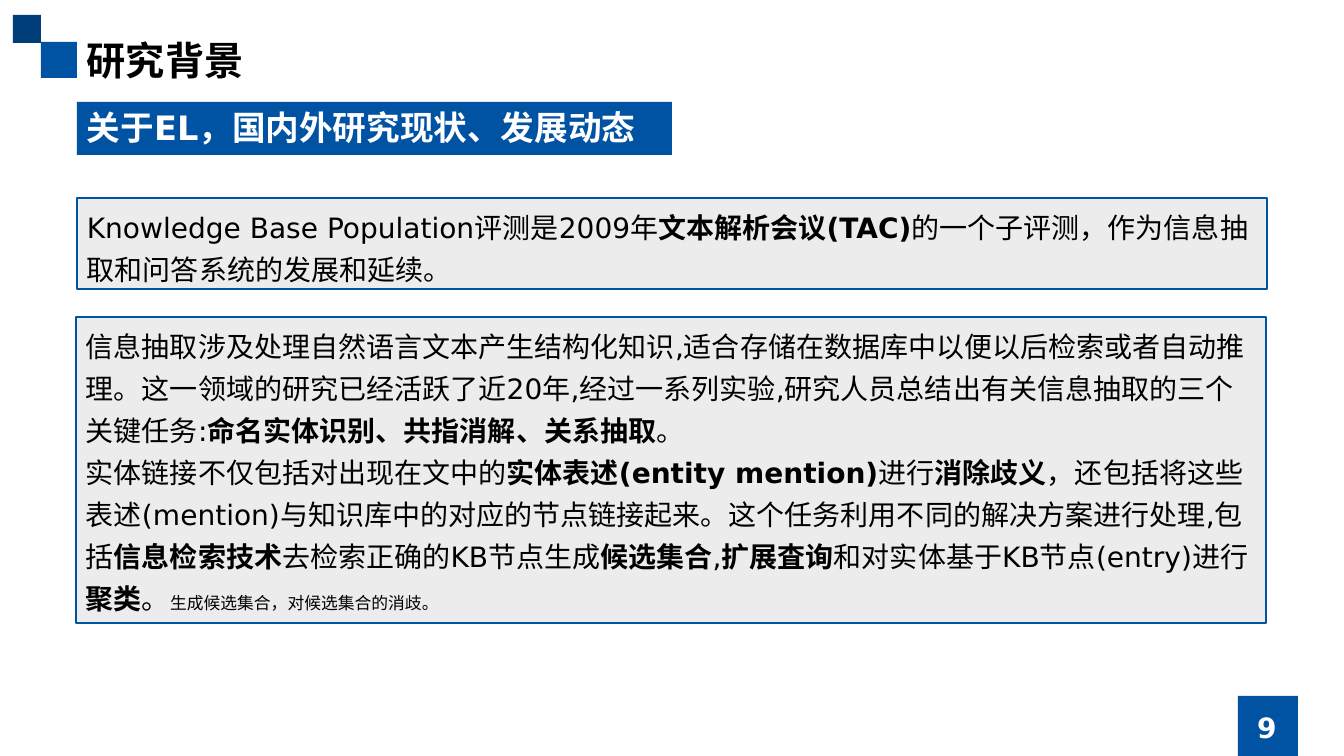
from lxml.etree import SubElement
from pptx import Presentation
from pptx.dml.color import RGBColor
from pptx.enum.shapes import MSO_SHAPE
from pptx.enum.text import MSO_ANCHOR, MSO_AUTO_SIZE, PP_ALIGN
from pptx.oxml.ns import qn
from pptx.util import Pt

SLIDE_WIDTH, SLIDE_HEIGHT = 1344, 756
EMU_PER_PX = 12192000 / SLIDE_WIDTH
COLORS = {"blue": "0053A3", "navy": "003E7A", "panel": "ECECEC",
          "black": "000000", "white": "FFFFFF"}
LATIN, CJK = "DejaVu Sans", "Noto Sans CJK SC"
BOLD_MARK = "|"

EVALUATION = [
    "Knowledge Base Population评测是2009年|文本解析会议(TAC)|的一个子评测，"
    "作为信息抽取和问答系统的发展和延续。",
]
TASKS = [
    "信息抽取涉及处理自然语言文本产生结构化知识,适合存储在数据库中以便以后检索或者自动推理。"
    "这一领域的研究已经活跃了近20年,经过一系列实验,研究人员总结出有关信息抽取的三个关键任务:"
    "|命名实体识别、共指消解、关系抽取|。",
    "实体链接不仅包括对出现在文中的|实体表述(entity mention)|进行|消除歧义|，"
    "还包括将这些表述(mention)与知识库中的对应的节点链接起来。"
    "这个任务利用不同的解决方案进行处理,包括|信息检索技术|去检索正确的KB节点生成"
    "|候选集合|,|扩展査询|和对实体基于KB节点(entry)进行|聚类|。",
]
TASKS_REMARK = "生成候选集合，对候选集合的消歧。"


def px(*lengths):
    return [round(length * EMU_PER_PX) for length in lengths]


def rgb(color):
    return RGBColor.from_string(COLORS[color])


def add_block(slide, box, fill, outline=None):
    block = slide.shapes.add_shape(MSO_SHAPE.RECTANGLE, *px(*box))
    block.shadow.inherit = False
    block.fill.solid()
    block.fill.fore_color.rgb = rgb(fill)
    if outline:
        block.line.color.rgb = rgb(outline)
        block.line.width = Pt(1)
    else:
        block.line.fill.background()
    return block


def style_run(run, size, color="black", bold=False, latin=LATIN):
    run.font.size = Pt(size)
    run.font.bold = bold
    run.font.color.rgb = rgb(color)
    run.font.name = latin
    SubElement(run.font._element, qn("a:ea"), typeface=CJK)


def write_heading(frame, text, size, color="black", latin=LATIN, align=PP_ALIGN.LEFT):
    frame.word_wrap = True
    frame.text = text
    heading = frame.paragraphs[0]
    heading.alignment = align
    style_run(heading.runs[0], size, color, True, latin)


def add_text_frame(slide, box, anchor=MSO_ANCHOR.TOP):
    frame = slide.shapes.add_textbox(*px(*box)).text_frame
    frame.word_wrap = True
    frame.vertical_anchor = anchor
    return frame


def add_panel(slide, panel_box, text_box, passages, remark=None):
    """Draw a framed panel; text between bold marks is set bold, a remark is small."""
    add_block(slide, panel_box, "panel", "blue")
    frame = add_text_frame(slide, text_box)
    frame.auto_size = MSO_AUTO_SIZE.SHAPE_TO_FIT_TEXT
    for index, passage in enumerate(passages):
        paragraph = frame.add_paragraph() if index else frame.paragraphs[0]
        paragraph.line_spacing = 1.25
        for part, words in enumerate(passage.split(BOLD_MARK)):
            run = paragraph.add_run()
            run.text = words
            style_run(run, 20, bold=part % 2 == 1)
    if remark:
        run = paragraph.add_run()
        run.text = remark
        style_run(run, 12)


def main():
    deck = Presentation()
    deck.slide_width, deck.slide_height = px(SLIDE_WIDTH, SLIDE_HEIGHT)
    slide = deck.slides.add_slide(deck.slide_layouts[6])

    add_block(slide, (41, 42, 36, 36), "blue")
    add_block(slide, (13, 15, 28, 28), "navy")
    add_block(slide, (1238, 696, 60, 60), "blue")

    title = add_text_frame(slide, (77, 31, 596, 60))
    title.auto_size = MSO_AUTO_SIZE.SHAPE_TO_FIT_TEXT
    write_heading(title, "研究背景", 28, latin=CJK)
    page_number = add_text_frame(slide, (1190, 707, 154, 40), MSO_ANCHOR.MIDDLE)
    write_heading(page_number, "9", 20, "white", align=PP_ALIGN.CENTER)

    add_panel(slide, (77, 198, 1190, 91), (77, 197, 1190, 94), EVALUATION)

    topic = add_block(slide, (77, 102, 595, 53), "blue").text_frame
    topic.vertical_anchor = MSO_ANCHOR.TOP
    topic.auto_size = MSO_AUTO_SIZE.SHAPE_TO_FIT_TEXT
    write_heading(topic, "关于EL，国内外研究现状、发展动态", 24, "white")

    add_panel(slide, (76, 317, 1190, 306), (76, 316, 1190, 304), TASKS, TASKS_REMARK)

    deck.save("out.pptx")


if __name__ == "__main__":
    main()
